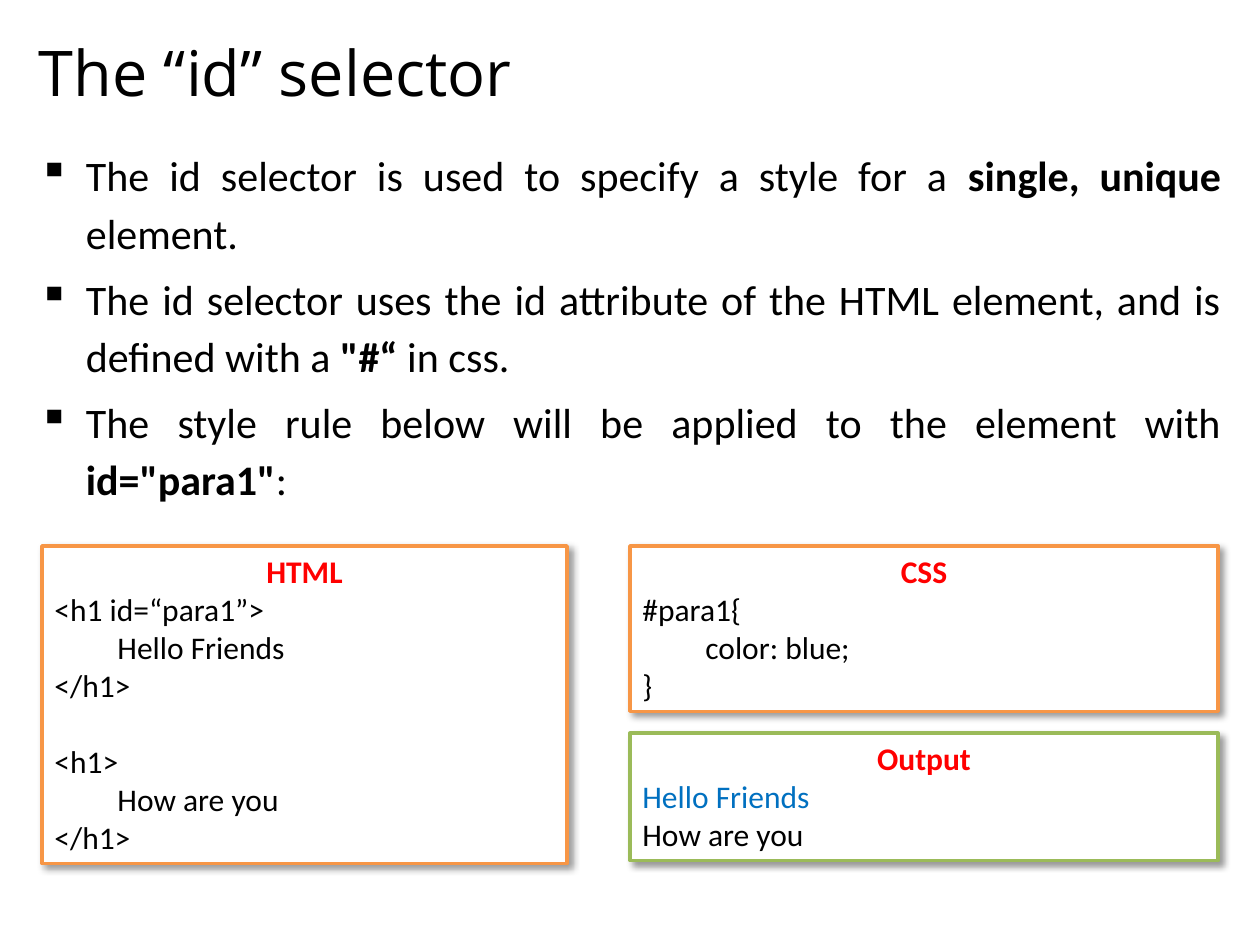
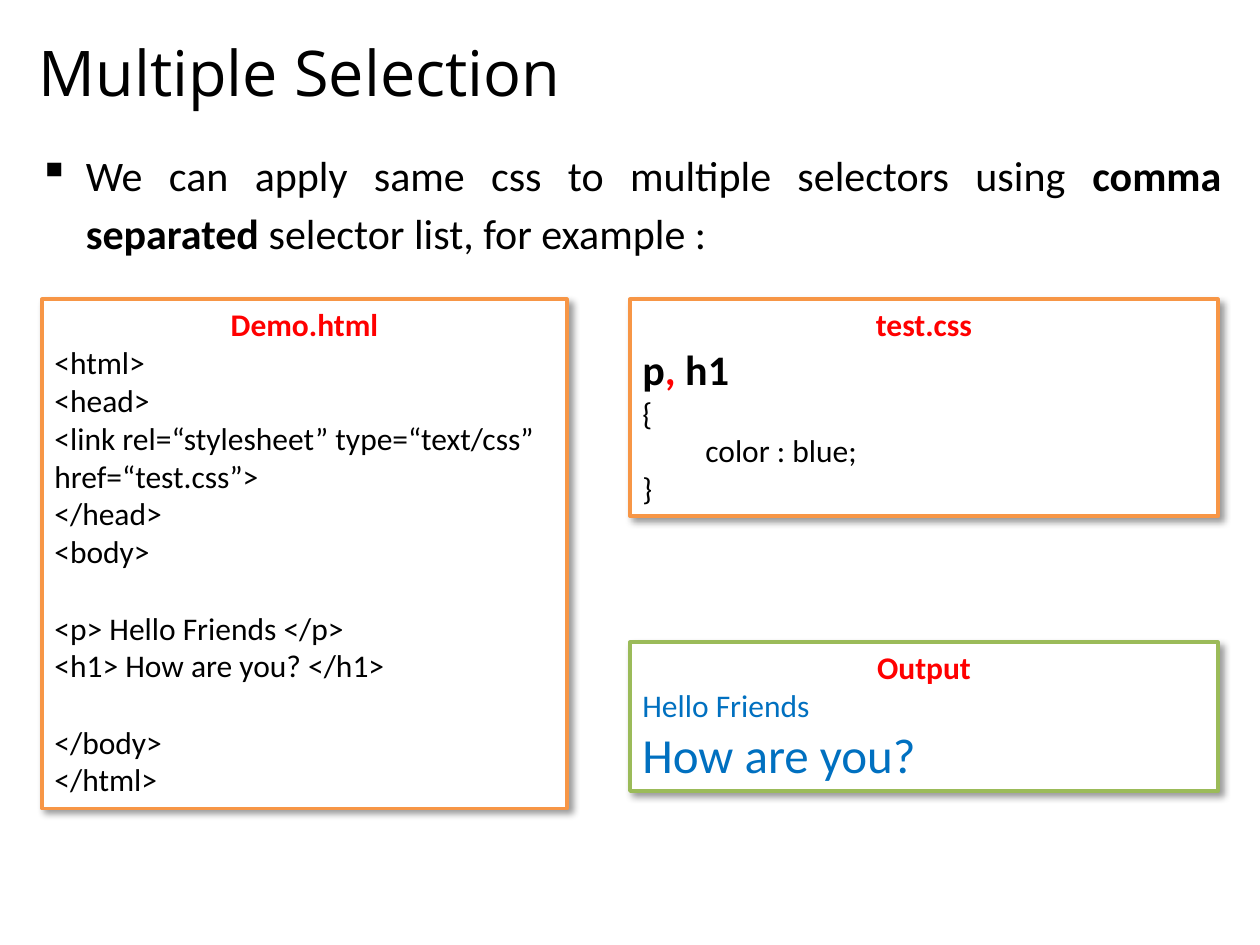
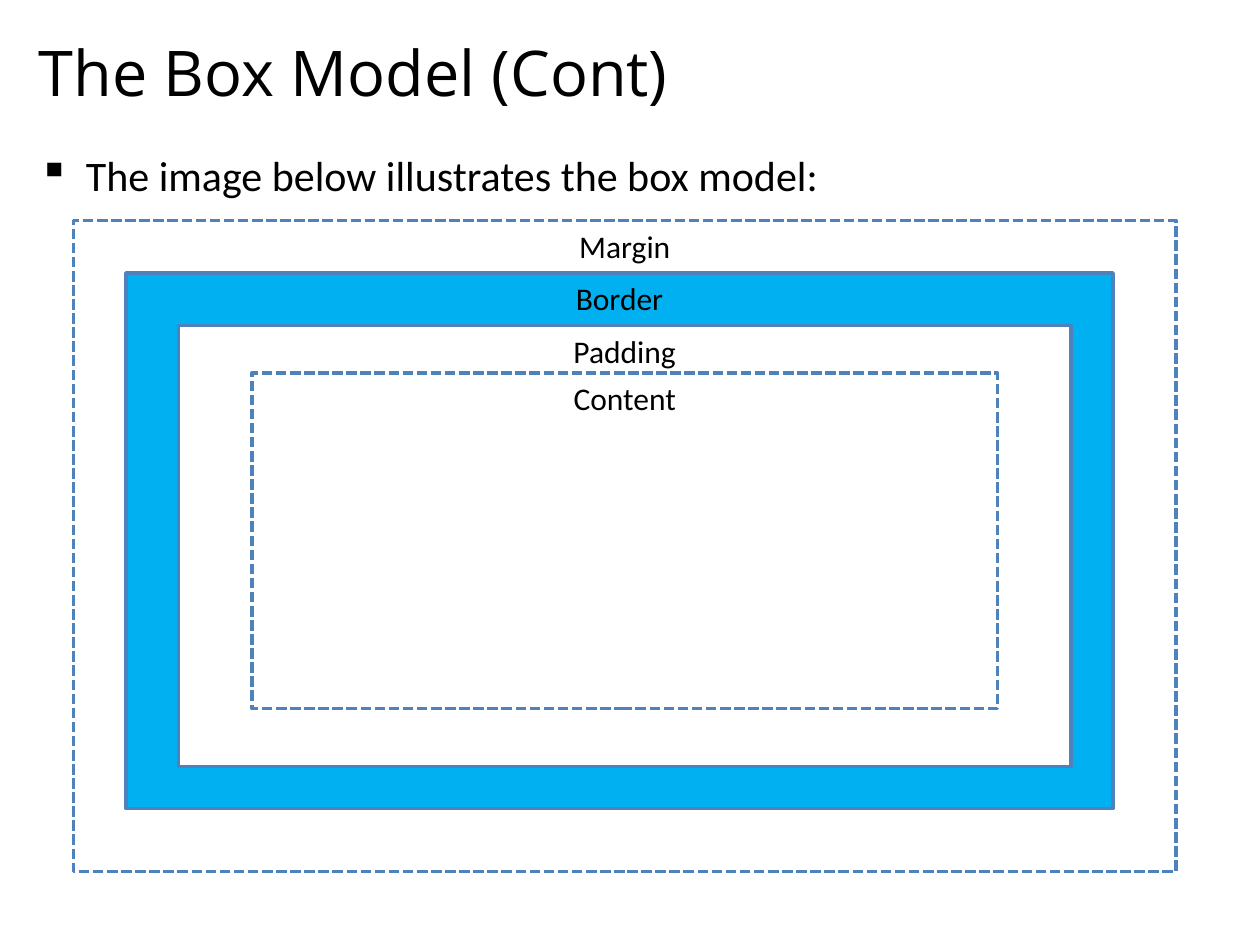
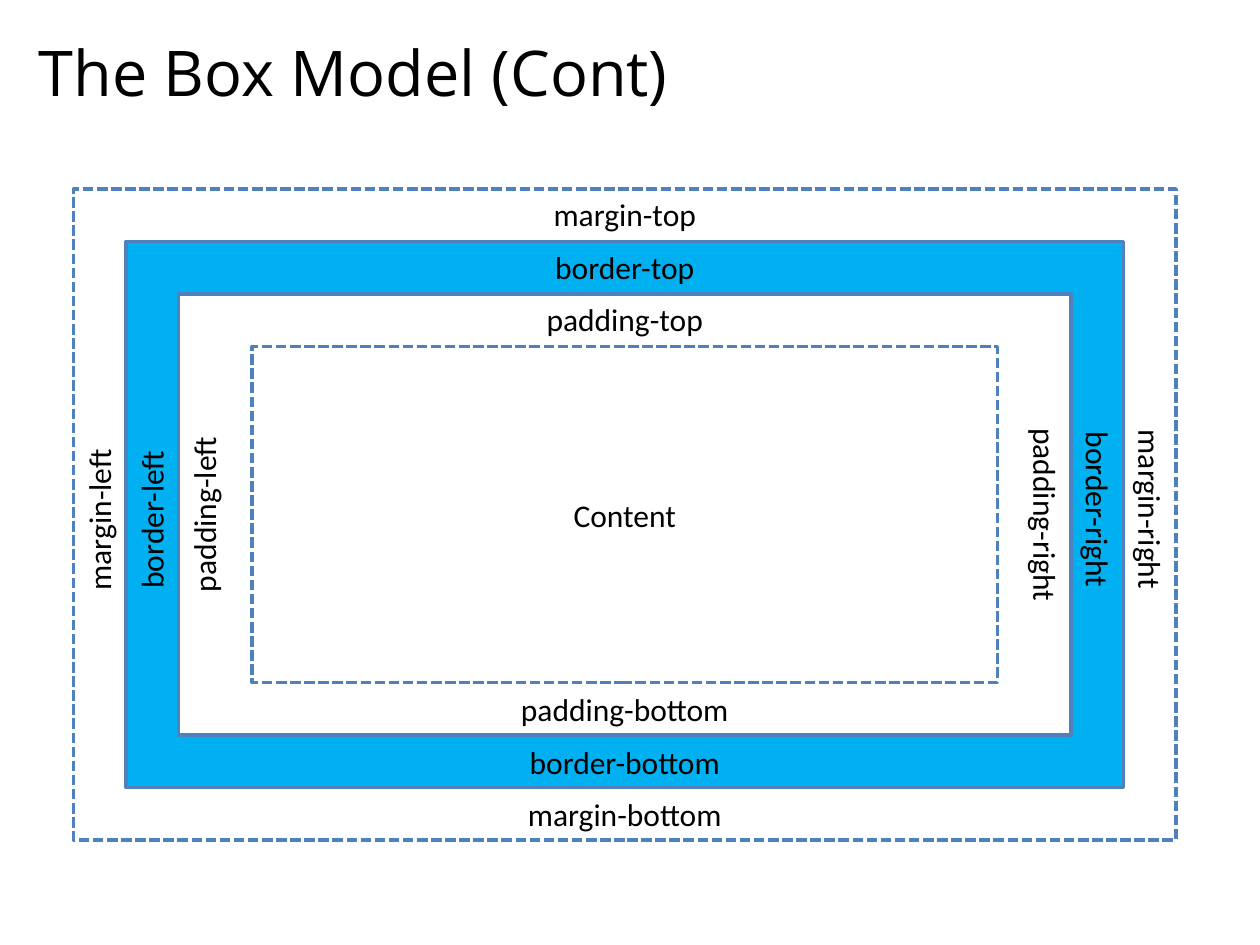
from lxml import etree
from pptx import Presentation
from pptx.dml.color import RGBColor
from pptx.enum import dml, shapes, text
from pptx.oxml import ns
from pptx.util import Pt

BLACK, WHITE, RED, BLUE = "000000", "FFFFFF", "FF0000", "0070C0"
ORANGE, GREEN, STEEL, SKY = "F79646", "9BBB59", "4F81BD", "00B0F0"
LEFT, CENTER, JUSTIFY = text.PP_ALIGN.LEFT, text.PP_ALIGN.CENTER, text.PP_ALIGN.JUSTIFY
TOP, MIDDLE = text.MSO_ANCHOR.TOP, text.MSO_ANCHOR.MIDDLE
EDGE, WIDE = 15, 690
CODE, SIDE = (24, 300), (360, 336)
GAP = 22
LABEL = (162, 29)


def paint(color, code):
    color.rgb = RGBColor.from_string(code)


def node(parent, tag, **attrs):
    return etree.SubElement(parent, ns.qn(tag), attrs)


def say(para, words, size=18, color=BLACK, bold=False, face="Calibri"):
    run = para.add_run()
    run.text = words
    run.font.size = Pt(size)
    run.font.bold = bold
    run.font.name = face
    paint(run.font.color, color)


def line(frame, parts, align=LEFT, before=0, **style):
    para = frame.paragraphs[0]
    if para.runs:
        para = frame.add_paragraph()
        para.space_before = Pt(before)
    para.alignment = align
    for part in [parts] if isinstance(parts, str) else parts:
        words, extra = (part, {}) if isinstance(part, str) else part
        say(para, words, **{**style, **extra})
    return para


def strong(words, **style):
    return words, {"bold": True, **style}


def setup(frame, anchor=TOP, grow=False):
    frame.word_wrap = True
    frame.vertical_anchor = anchor
    fit = text.MSO_AUTO_SIZE
    frame.auto_size = fit.SHAPE_TO_FIT_TEXT if grow else fit.NONE
    return frame


def page(deck, name):
    slide = deck.slides.add_slide(deck.slide_layouts[5])
    title = slide.shapes.title
    title.left, title.top, title.width, title.height = map(Pt, (EDGE, 9, WIDE, 63))
    line(setup(title.text_frame, MIDDLE), name, size=36, face="Open Sans")
    return slide


def points(slide, high, items, align=JUSTIFY):
    box = slide.shapes.add_textbox(*map(Pt, (EDGE, 78, WIDE, high)))
    frame = setup(box.text_frame)
    for item in items:
        para = line(frame, item, align, 4.8, size=24)
        para.line_spacing = 1.14
        props = para._p.get_or_add_pPr()
        props.set("marL", str(Pt(27)))
        props.set("indent", str(Pt(-27)))
        node(props, "a:buChar", char="▪")


def rect(slide, area, edge, fill=None, dash=False):
    box = slide.shapes.add_shape(shapes.MSO_SHAPE.RECTANGLE, *map(Pt, area))
    box.shadow.inherit = False
    if fill:
        box.fill.solid()
        paint(box.fill.fore_color, fill)
    else:
        box.fill.background()
    box.line.width = Pt(2)
    paint(box.line.color, edge)
    if dash:
        box.line.dash_style = dml.MSO_LINE.SQUARE_DOT
    return box


def shade(box):
    effects = box._element.spPr.find(ns.qn("a:effectLst"))
    outer = node(effects, "a:outerShdw", blurRad=str(Pt(4)), dist=str(Pt(3)),
                 dir=str(45 * 60000), algn="tl", rotWithShape="0")
    node(node(outer, "a:srgbClr", val=BLACK), "a:alpha", val="40000")


def panel(slide, span, top, high, head, rows, edge=ORANGE):
    box = rect(slide, (span[0], top, span[1], high), edge, WHITE)
    shade(box)
    frame = setup(box.text_frame, grow=True)
    line(frame, head, CENTER, color=RED, bold=True)
    before = 0
    for row in rows:
        if row is None:
            before = GAP
        else:
            line(frame, row, before=before)
            before = 0


def rings(slide, areas, names=(), anchor=TOP):
    looks = [(None, True), (SKY, False), (WHITE, False), (None, True)]
    for index, (area, (fill, dash)) in enumerate(zip(areas, looks)):
        box = rect(slide, area, STEEL, fill, dash)
        if index < len(names) and names[index]:
            line(setup(box.text_frame, anchor), names[index], CENTER)


def label(slide, words, x, y, turn=0):
    wide, high = LABEL
    box = slide.shapes.add_textbox(*map(Pt, (x - wide / 2, y - high / 2, wide, high)))
    box.rotation = turn
    line(setup(box.text_frame, grow=True), words, CENTER)


def sides(slide, name, area, drift):
    left, top, wide, high = area
    half = LABEL[1] / 2
    mid = top + high / 2
    label(slide, f"{name}-top", 357, top + half)
    label(slide, f"{name}-bottom", 357, top + high - half)
    label(slide, f"{name}-left", left + half, mid + drift, 270)
    label(slide, f"{name}-right", left + wide - half, mid - drift, 90)


def ident(deck):
    slide = page(deck, "The “id” selector")
    points(slide, 228, [
        ["The id selector is used to specify a style for a ",
         strong("single, unique "), "element."],
        ["The id selector uses the id attribute of the HTML element, and is defined with a",
         strong(" \"#“ "), "in css."],
        ["The style rule below will be applied to the element with ",
         strong('id="para1"'), ":"],
    ])
    panel(slide, CODE, 312, 181.5, "HTML", [
        "<h1 id=“para1”>", "\tHello Friends", "</h1>", None,
        "<h1>", "\tHow are you", "</h1>"])
    panel(slide, SIDE, 312, 94.5, "CSS", ["#para1{", "\tcolor: blue;", "}"])
    panel(slide, SIDE, 419, 72.7, "Output",
          [[("Hello Friends", {"color": BLUE})], "How are you"], GREEN)


def multi(deck):
    slide = page(deck, "Multiple Selection")
    points(slide, 84, [
        ["We can apply same css to multiple selectors using ",
         strong("comma separated"), " selector list, for example :"],
    ])
    panel(slide, CODE, 171, 291, "Demo.html", [
        "<html>", "<head>",
        "<link rel=“stylesheet” type=“text/css” href=“test.css”>",
        "</head>", "<body>", None,
        "<p> Hello Friends </p>", "<h1> How are you? </h1>", None,
        "</body>", "</html>"])
    panel(slide, SIDE, 171, 124, "test.css", [
        [strong("p", size=24), strong(",", size=24, color=RED), strong(" h1", size=24)],
        "{", "\tcolor : blue;", "}"])
    panel(slide, SIDE, 367, 85, "Output", [
        [("Hello Friends", {"color": BLUE})],
        [("How are you?", {"color": BLUE, "size": 28})]], GREEN)


def model(deck):
    slide = page(deck, "The Box Model (Cont)")
    points(slide, 420, ["The image below illustrates the box model:"], LEFT)
    areas = [(42, 126, 630, 372), (72, 156, 564, 306),
             (102, 186, 510, 252), (144, 213, 426, 192)]
    rings(slide, areas, ("Margin", "Border", "Padding", "Content"))


def detail(deck):
    slide = page(deck, "The Box Model (Cont)")
    areas = [(42, 108, 630, 372), (72, 138, 570, 312),
             (102, 168, 510, 252), (144, 198, 426, 192)]
    rings(slide, areas, ("", "", "", "Content"), MIDDLE)
    for name, area, drift in zip(("margin", "border", "padding"), areas, (3, 3, 0)):
        sides(slide, name, area, drift)


def main():
    deck = Presentation()
    deck.slide_width, deck.slide_height = Pt(720), Pt(540)
    for build in (ident, multi, model, detail):
        build(deck)
    deck.save("out.pptx")


if __name__ == "__main__":
    main()
